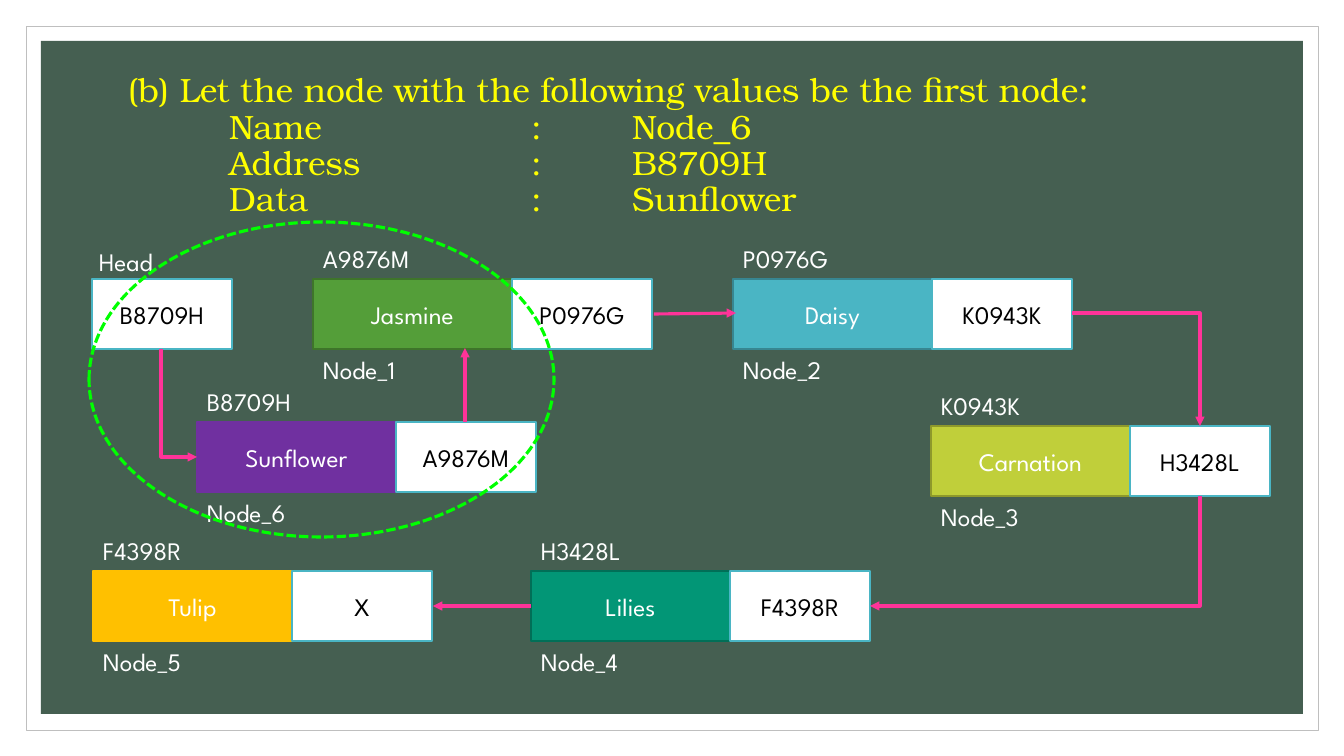
from lxml.etree import SubElement
from pptx import Presentation
from pptx.dml.color import RGBColor as RGB
from pptx.enum.dml import MSO_LINE as DASH
from pptx.enum.shapes import MSO_CONNECTOR as CONN, MSO_SHAPE as SHAPE
from pptx.enum.text import MSO_ANCHOR as ANCHOR, MSO_AUTO_SIZE as FIT, PP_ALIGN as ALIGN
from pptx.oxml.ns import qn
from pptx.util import Emu, Pt

SCALE = 914400 / 100.8
DATA_W, ADDR_W, ROW_H = 199, 140, 70
LABEL_W, LABEL_H = 117, 40
SANS, SERIF = "League Spartan", "TeX Gyre Bonum"

HUES = {
    "white": "FFFFFF", "black": "000000", "frame": "BFBFBF", "board": "455F51",
    "title": "FFFF00", "cell": "4AB5C4", "arrow": "FF3399", "ring": "00FF00",
    "green": "549E39", "moss": "3E752A", "blue": "4AB5C4", "navy": "378691",
    "lime": "C0CF3A", "olive": "8E992B", "teal": "029676", "pine": "016F57",
    "gold": "FFC000", "plum": "7030A0",
}

NODES = [
    ("Node_1", "A9876M", "Jasmine", "P0976G", 313, 279, "green", "moss"),
    ("Node_2", "P0976G", "Daisy", "K0943K", 733, 279, "blue", "navy"),
    ("Node_3", "K0943K", "Carnation", "H3428L", 931, 426, "lime", "olive"),
    ("Node_4", "H3428L", "Lilies", "F4398R", 531, 571, "teal", "pine"),
    ("Node_5", "F4398R", "Tulip", "X", 93, 571, "gold", "gold"),
    ("Node_6", "B8709H", "Sunflower", "A9876M", 197, 422, "plum", "plum"),
]

FACTS = [("Name", "Node_6"), ("Address", "B8709H"), ("Data", "Sunflower")]


def px(num):
    return Emu(round(num * SCALE))


def hue(name):
    return RGB.from_string(HUES[name])


def add_run(para, text, size, face, tint):
    run = para.add_run()
    run.text = text
    run.font.size = Pt(size)
    run.font.name = face
    run.font.color.rgb = hue(tint)


def add_box(shapes, area, fill=None, edge=None, width=1, kind=SHAPE.RECTANGLE):
    box = shapes.add_shape(kind, *map(px, area))
    box.shadow.inherit = False
    if fill:
        box.fill.solid()
        box.fill.fore_color.rgb = hue(fill)
    else:
        box.fill.background()
    if edge:
        box.line.color.rgb = hue(edge)
        box.line.width = Pt(width)
    else:
        box.line.fill.background()
    return box


def add_cell(shapes, area, text, fill, edge, tint):
    frame = add_box(shapes, area, fill, edge).text_frame
    frame.vertical_anchor = ANCHOR.MIDDLE
    para = frame.paragraphs[0]
    para.alignment = ALIGN.CENTER
    add_run(para, text, 18, SANS, tint)


def add_label(shapes, x, y, text):
    frame = shapes.add_textbox(px(x), px(y), px(LABEL_W), px(LABEL_H)).text_frame
    frame.word_wrap = True
    add_run(frame.paragraphs[0], text, 18, SANS, "white")


def add_node(slide, name, addr, data, link, x, y, fill, edge):
    shapes = slide.shapes.add_group_shape().shapes
    add_cell(shapes, (x, y, DATA_W, ROW_H), data, fill, edge, "white")
    add_cell(shapes, (x + DATA_W, y, ADDR_W, ROW_H), link, "white", "cell", "black")
    add_label(shapes, x, y - LABEL_H - 1, addr)
    add_label(shapes, x, y + ROW_H, name)


def add_head(slide, x, y):
    shapes = slide.shapes.add_group_shape().shapes
    add_cell(shapes, (x, y, ADDR_W, ROW_H), "B8709H", "white", "cell", "black")
    add_label(shapes, x - 3, y - LABEL_H + 2, "Head")


def add_arrow(slide, x1, y1, x2, y2, kind=CONN.STRAIGHT):
    arrow = slide.shapes.add_connector(kind, px(x1), px(y1), px(x2), px(y2))
    arrow.line.color.rgb = hue("arrow")
    arrow.line.width = Pt(2.25)
    props = arrow.element.spPr
    SubElement(props.find(qn("a:ln")), qn("a:tailEnd"), type="triangle")
    SubElement(props, qn("a:effectLst"))
    return arrow


def add_bend(slide, x1, y1, x2, y2, down_first):
    arrow = add_arrow(slide, x1, y1, x2, y2, CONN.ELBOW)
    props = arrow.element.spPr
    props.find(qn("a:prstGeom")).set("prst", "bentConnector2")
    if not down_first:
        return
    wide, high = y2 - y1, abs(x2 - x1)
    arrow.left, arrow.top = px((x1 + x2 - wide) / 2), px((y1 + y2 - high) / 2)
    arrow.width, arrow.height = px(wide), px(high)
    right = x2 > x1
    form = props.find(qn("a:xfrm"))
    form.set("rot", str((270 if right else 90) * 60000))
    form.set("flipH", "1" if right else "0")


def fill_title(title):
    title.left, title.top, title.width, title.height = map(px, (118, 71, 1109, 151))
    frame = title.text_frame
    frame.word_wrap = True
    frame.auto_size = FIT.NONE
    frame.vertical_anchor = ANCHOR.MIDDLE
    para = frame.paragraphs[0]
    para.alignment = ALIGN.LEFT
    para.line_spacing = 0.9
    tabs = SubElement(para._p.get_or_add_pPr(), qn("a:tabLst"))
    for stop in (101, 403, 504):
        SubElement(tabs, qn("a:tab"), pos=str(px(stop)), algn="l")
    intro = "(b) Let the node with the following values be the first node:"
    add_run(para, intro, 24, SERIF, "title")
    for key, value in FACTS:
        para.add_line_break()
        SubElement(para._p[-1], qn("a:rPr"), sz="2400")
        add_run(para, f"\t{key}\t:\t{value}", 24, SERIF, "title")


def main():
    deck = Presentation()
    deck.slide_width, deck.slide_height = px(1344), px(756)
    slide = deck.slides.add_slide(deck.slide_layouts[5])
    title = slide.shapes.title
    add_box(slide.shapes, (26, 26, 1292, 704), "white", "frame", 0.5)
    board = add_box(slide.shapes, (41, 41, 1262, 673), "board")
    board.element.addnext(title.element)
    fill_title(title)
    for node in NODES:
        add_node(slide, *node)
    add_head(slide, 92, 279)
    add_arrow(slide, 654, 314, 736, 313)
    add_arrow(slide, 531, 606, 433, 606)
    add_arrow(slide, 465, 422, 465, 348)
    add_bend(slide, 1200, 496, 870, 606, True)
    add_bend(slide, 1072, 313, 1200, 426, False)
    add_bend(slide, 161, 349, 197, 457, True)
    ring = add_box(slide.shapes, (89, 222, 465, 315), None, "ring", 2.25, SHAPE.OVAL)
    ring.line.dash_style = DASH.SQUARE_DOT
    ring.line.dash_style = DASH.SQUARE_DOT
    deck.save("out.pptx")


if __name__ == "__main__":
    main()
